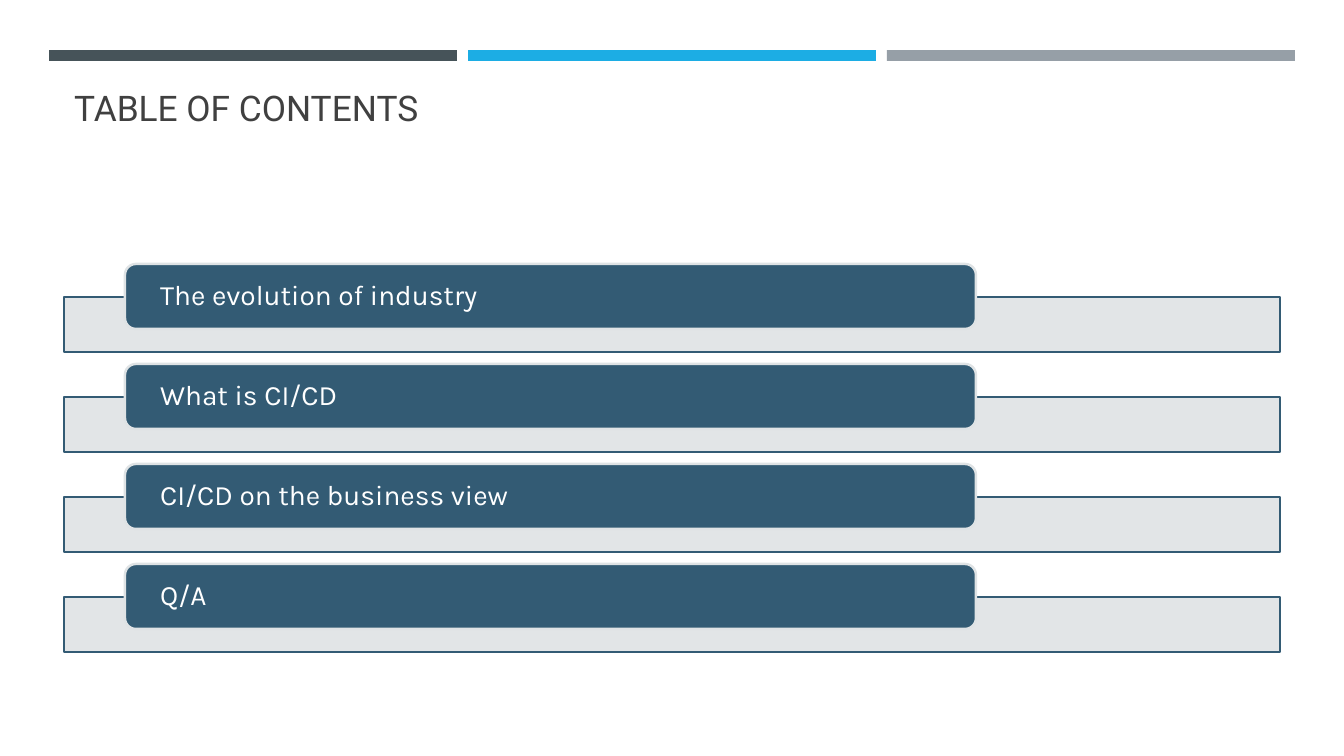
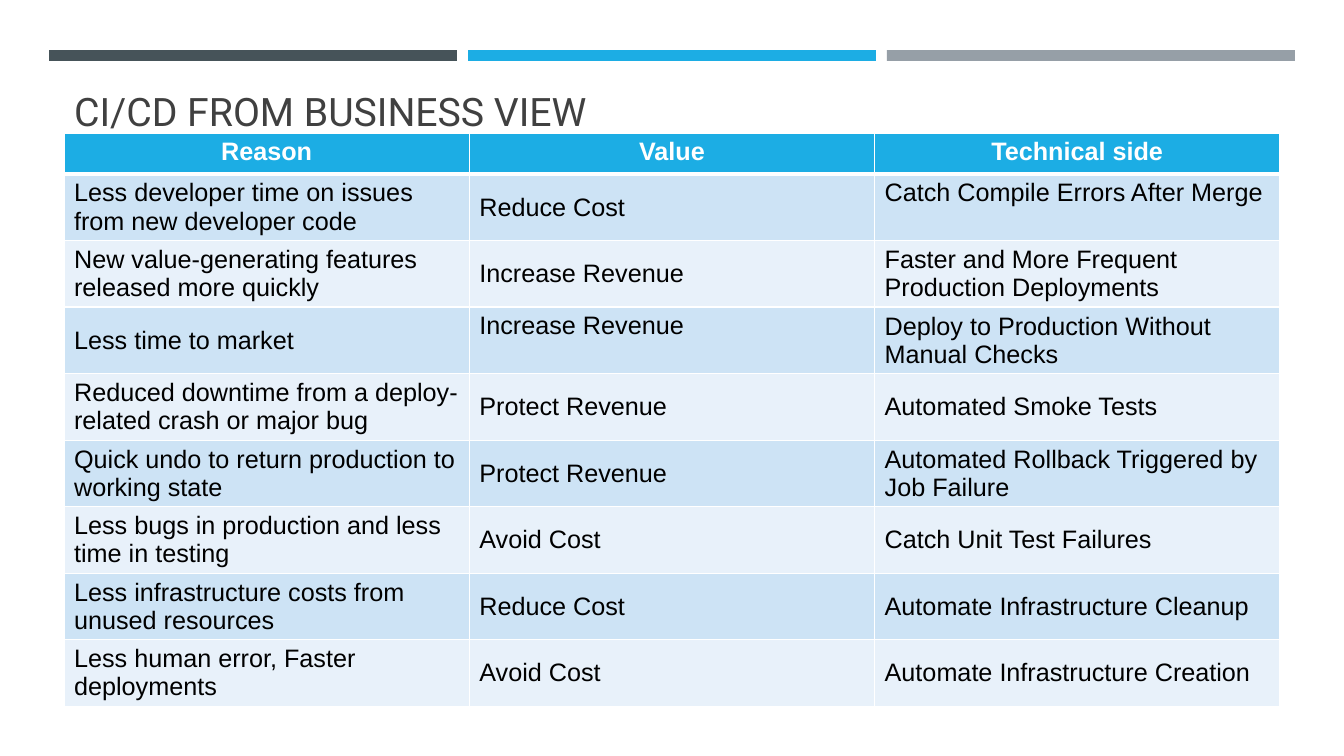
from lxml.etree import SubElement
from pptx import Presentation
from pptx.dml.color import RGBColor
from pptx.enum.shapes import MSO_SHAPE
from pptx.enum.text import MSO_ANCHOR, MSO_AUTO_SIZE, PP_ALIGN
from pptx.oxml.ns import qn
from pptx.util import Pt

EMU_PER_PX = 914400 / 100.8
SLIDE_WIDTH, SLIDE_HEIGHT = 1344, 756
CONTENT_LEFT, CONTENT_WIDTH = 64, 1216
TITLE_TOP = 78

COLOURS = {
    "charcoal": "465359",
    "blue": "1CADE4",
    "grey": "969FA7",
    "title": "404040",
    "navy": "335B74",
    "pale": "DFE3E5",
    "white": "FFFFFF",
    "black": "000000",
    "odd row": "CDE3F5",
    "even row": "E8F1FA",
}

TITLE_FRAME = {
    "auto_size": MSO_AUTO_SIZE.NONE,
    "word_wrap": True,
    "vertical_anchor": MSO_ANCHOR.BOTTOM,
}
TAB_FRAME = {
    "word_wrap": True,
    "vertical_anchor": MSO_ANCHOR.MIDDLE,
    "margin_top": 0,
    "margin_bottom": 0,
}
TITLE_FONT = {"name": "Roboto", "bold": False}
TAB_FONT = {"name": "Karla", "size": Pt(20), "bold": False}
HEADER_FONT = {"name": "Arial", "size": Pt(18), "bold": True}
BODY_FONT = {**HEADER_FONT, "bold": False}

TOPICS = ["The evolution of industry", "What is CI/CD", "CI/CD on the business view", "Q/A"]

REASONS = [
    ["Reason", "Value", "Technical side"],
    ["Less developer time on issues from new developer code", "Reduce Cost",
     "Catch Compile Errors After Merge"],
    ["New value-generating features released more quickly", "Increase Revenue",
     "Faster and More Frequent Production Deployments"],
    ["Less time to market", "Increase Revenue", "Deploy to Production Without Manual Checks"],
    ["Reduced downtime from a deploy-related crash or major bug", "Protect Revenue",
     "Automated Smoke Tests"],
    ["Quick undo to return production to working state", "Protect Revenue",
     "Automated Rollback Triggered by Job Failure"],
    ["Less bugs in production and less time in testing", "Avoid Cost",
     "Catch Unit Test Failures"],
    ["Less infrastructure costs from unused resources", "Reduce Cost",
     "Automate Infrastructure Cleanup"],
    ["Less human error, Faster deployments", "Avoid Cost", "Automate Infrastructure Creation"],
]
TOP_ANCHORED_CELLS = {(1, 2), (3, 1)}


def px(length):
    """Turn pixels into EMU."""
    return round(length * EMU_PER_PX)


def colour(name):
    """Look up a named colour."""
    return RGBColor.from_string(COLOURS[name])


def apply(target, values):
    """Set each attribute in a dict of format values."""
    for name, value in values.items():
        setattr(target, name, value)


def write(text_frame, text, font, colour_name, alignment=PP_ALIGN.LEFT):
    """Fill a text frame with one formatted line and return its paragraph."""
    paragraph = text_frame.paragraphs[0]
    paragraph.alignment = alignment
    run = paragraph.add_run()
    run.text = text
    apply(run.font, font)
    run.font.color.rgb = colour(colour_name)
    return paragraph


def add_block(slide, preset, box, fill, line=None):
    """Add a flat filled shape with an optional outline."""
    shape = slide.shapes.add_shape(preset, *map(px, box))
    shape.shadow.inherit = False
    shape.fill.solid()
    shape.fill.fore_color.rgb = colour(fill)
    if line:
        shape.line.color.rgb = colour(line)
        shape.line.width = Pt(1.75)
    else:
        shape.line.fill.background()
    return shape


def set_opacity(shape, percent):
    """Make the solid fill of a shape partly transparent."""
    fill_colour = shape.element.spPr.find(qn("a:solidFill"))[0]
    SubElement(fill_colour, qn("a:alpha"), val=str(percent * 1000))


def add_titled_slide(presentation, title, size, height):
    """Add a slide with the three top bands and a title."""
    slide = presentation.slides.add_slide(presentation.slide_layouts[5])
    for index, name in enumerate(["charcoal", "blue", "grey"]):
        add_block(slide, MSO_SHAPE.RECTANGLE, (49 + 419 * index, 50, 408, 11), name)
    placeholder = slide.shapes.title
    apply(placeholder, {
        "left": px(CONTENT_LEFT), "top": px(TITLE_TOP),
        "width": px(CONTENT_WIDTH), "height": px(height),
    })
    apply(placeholder.text_frame, TITLE_FRAME)
    write(placeholder.text_frame, title, {**TITLE_FONT, "size": Pt(size)}, "title")
    return slide


def add_topic(slide, text, top):
    """Add a pale bar with a rounded topic tab overlapping its top edge."""
    bar = add_block(slide, MSO_SHAPE.RECTANGLE,
                    (CONTENT_LEFT, top + 33, CONTENT_WIDTH, 55), "pale", "navy")
    set_opacity(bar, 90)
    tab = add_block(slide, MSO_SHAPE.ROUNDED_RECTANGLE, (125, top, 851, 65), "navy", "pale")
    apply(tab.text_frame, {**TAB_FRAME, "margin_left": px(32), "margin_right": px(32)})
    write(tab.text_frame, text, TAB_FONT, "white").line_spacing = 0.9


def set_borders(cell, widths):
    """Draw white cell borders with the given widths in points."""
    properties = cell._tc.get_or_add_tcPr()
    for side, width in widths.items():
        line = SubElement(properties, qn(f"a:ln{side}"), w=str(Pt(width)))
        fill = SubElement(line, qn("a:solidFill"))
        SubElement(fill, qn("a:srgbClr"), val=COLOURS["white"])


def format_cell(cell, text, row, column):
    """Write a table cell in the style of its row."""
    header = row == 0
    set_borders(cell, {"L": 1, "R": 1, "T": 3 if row == 1 else 1, "B": 3 if header else 1})
    cell.fill.solid()
    cell.fill.fore_color.rgb = colour("blue" if header else "odd row" if row % 2 else "even row")
    top = header or (row, column) in TOP_ANCHORED_CELLS
    cell.vertical_anchor = MSO_ANCHOR.TOP if top else MSO_ANCHOR.MIDDLE
    if header:
        write(cell.text_frame, text, HEADER_FONT, "white", PP_ALIGN.CENTER)
    else:
        write(cell.text_frame, text, BODY_FONT, "black")


def add_reasons_table(slide, rows):
    """Add the table of reasons with equal columns and a low header row."""
    heights = [41] + [66] * (len(rows) - 1)
    box = (CONTENT_LEFT, 133, CONTENT_WIDTH, sum(heights))
    table = slide.shapes.add_table(len(rows), len(rows[0]), *map(px, box)).table
    for row, (texts, height) in enumerate(zip(rows, heights)):
        table.rows[row].height = px(height)
        for column, text in enumerate(texts):
            format_cell(table.cell(row, column), text, row, column)


def main():
    """Build and save the presentation."""
    presentation = Presentation()
    presentation.slide_width = px(SLIDE_WIDTH)
    presentation.slide_height = px(SLIDE_HEIGHT)

    contents = add_titled_slide(presentation, "TABLE OF CONTENTS", 25.2, 56)
    for index, topic in enumerate(TOPICS):
        add_topic(contents, topic, 264 + 100 * index)

    business = add_titled_slide(presentation, "CI/CD FROM BUSINESS VIEW", 28, 61)
    add_reasons_table(business, REASONS)

    presentation.save("out.pptx")


if __name__ == "__main__":
    main()
